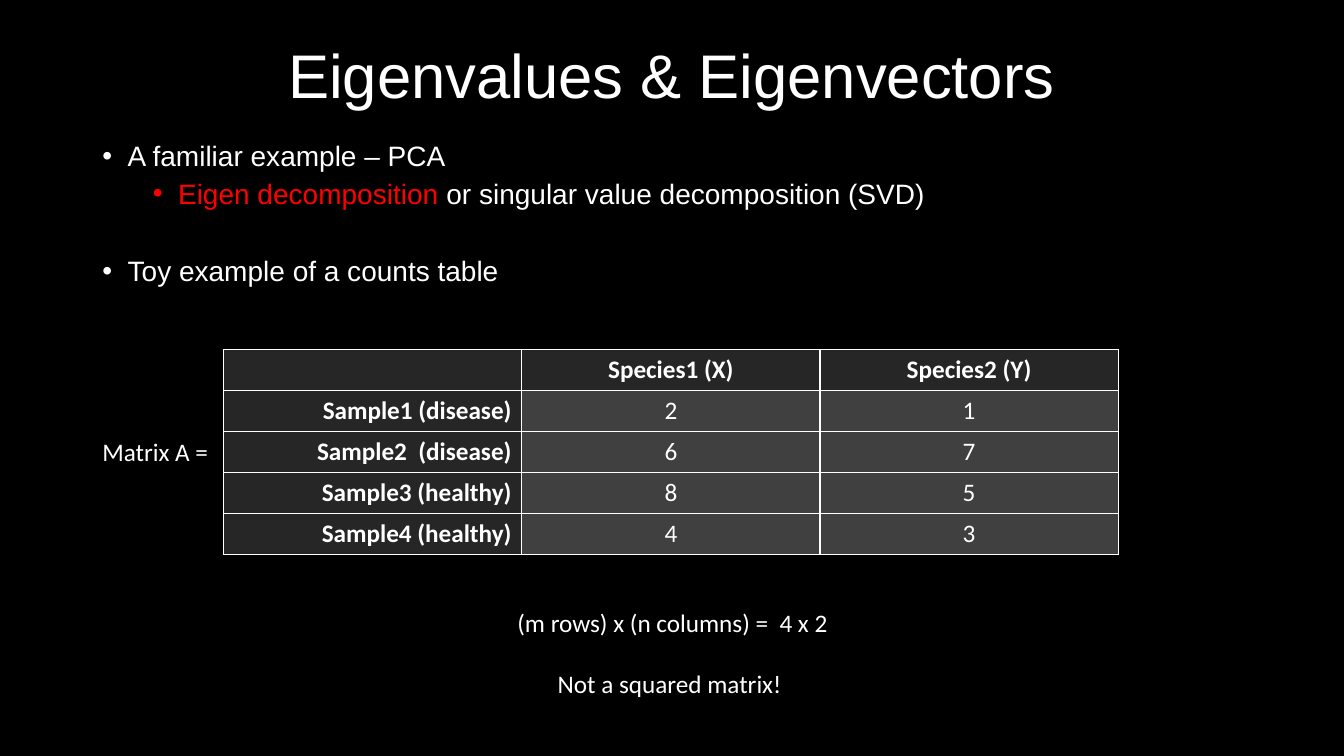
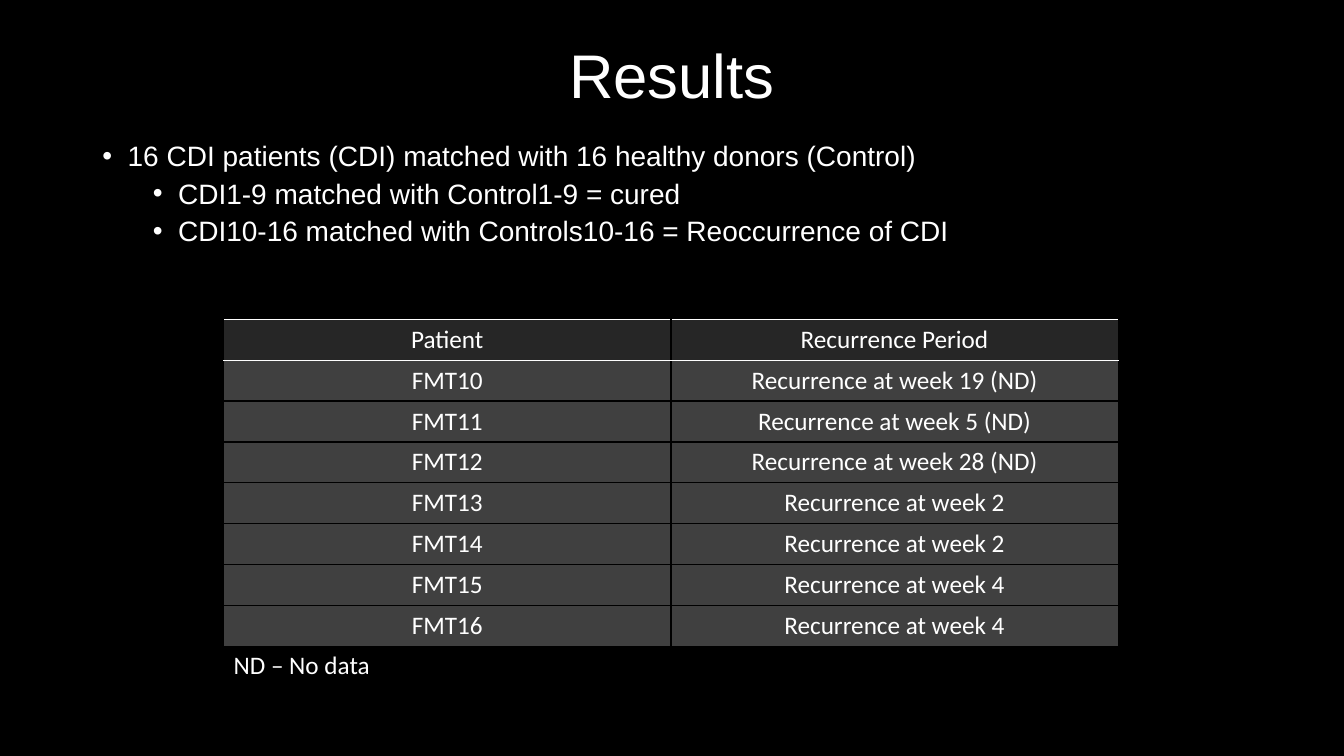
from dataclasses import dataclass
from typing import Any

from lxml.etree import SubElement
from pptx import Presentation
from pptx.dml.color import RGBColor
from pptx.enum.text import MSO_ANCHOR, MSO_AUTO_SIZE, PP_ALIGN
from pptx.oxml.ns import qn
from pptx.util import Emu, Pt

WHITE, BLACK, RED = "FFFFFF", "000000", "FF0000"
HEAD_FILL, CELL_FILL = "262626", "404040"
LEFT, CENTER, RIGHT = PP_ALIGN.LEFT, PP_ALIGN.CENTER, PP_ALIGN.RIGHT

EMU_PER_PX = 9525
SLIDE_SIZE = (1280, 720)
TITLE_BOX = (88, 38, 1104, 74)
BODY_BOX = (88, 131, 1104, 540)
TABLE_LEFT, TABLE_WIDTH, ROW_HEIGHT = 213, 852, 39
BULLET_HANG, LEVEL_STEP = 24, 48

TITLE_FONT = {"name": "Arial", "size": Pt(44)}
BODY_FONT = {"name": "Arial", "size": Pt(20)}
SMALL_FONT = {"name": "Calibri", "size": Pt(18)}

Box = tuple[int, int, int, int]


@dataclass(frozen=True)
class Span:
    text: str
    color: str = WHITE


@dataclass(frozen=True)
class Bullet:
    spans: tuple[Span, ...]
    level: int = 0
    space_before: int = 10


@dataclass(frozen=True)
class Grid:
    """Table content; a labelled grid has bold headings and white lines throughout."""

    top: int
    rows: tuple[tuple[str, ...], ...]
    labelled: bool = False


@dataclass(frozen=True)
class Note:
    box: Box
    lines: tuple[str, ...]
    align: Any = LEFT
    gap: int = 0


@dataclass(frozen=True)
class Page:
    title: str
    bullets: tuple[Bullet, ...]
    grid: Grid
    notes: tuple[Note, ...]


PAGES = (
    Page(
        "Eigenvalues & Eigenvectors",
        (
            Bullet((Span("A familiar example – PCA"),)),
            Bullet(
                (
                    Span("Eigen decomposition ", RED),
                    Span("or singular value decomposition (SVD)"),
                ),
                level=1,
                space_before=5,
            ),
            Bullet((Span("Toy example of a counts table"),), space_before=34),
        ),
        Grid(
            333,
            (
                ("", "Species1 (X)", "Species2 (Y)"),
                ("Sample1 (disease)", "2", "1"),
                ("Sample2  (disease)", "6", "7"),
                ("Sample3 (healthy)", "8", "5"),
                ("Sample4 (healthy)", "4", "3"),
            ),
            labelled=True,
        ),
        (
            Note((88, 411, 305, 38), ("Matrix A =",)),
            Note(
                (412, 574, 457, 96),
                ("(m rows) x (n columns) =  4 x 2", "Not a squared matrix! "),
                CENTER,
                gap=22,
            ),
        ),
    ),
    Page(
        "Results",
        (
            Bullet((Span("16 CDI patients (CDI) matched with 16 healthy donors (Control)"),)),
            Bullet((Span("CDI1-9 matched with Control1-9 = cured"),), 1, 5),
            Bullet((Span("CDI10-16 matched with Controls10-16 = Reoccurrence of CDI"),), 1, 5),
        ),
        Grid(
            304,
            (
                ("Patient", "Recurrence Period"),
                ("FMT10", "Recurrence at week 19 (ND)"),
                ("FMT11", "Recurrence at week 5 (ND)"),
                ("FMT12", "Recurrence at week 28 (ND)"),
                ("FMT13", "Recurrence at week 2"),
                ("FMT14", "Recurrence at week 2"),
                ("FMT15", "Recurrence at week 4"),
                ("FMT16", "Recurrence at week 4"),
            ),
        ),
        (Note((TABLE_LEFT, 614, 259, 38), ("ND – No data",)),),
    ),
)


def px(length: int) -> Emu:
    return Emu(length * EMU_PER_PX)


def rgb(color: str) -> RGBColor:
    return RGBColor.from_string(color)


def set_all(target: Any, formats: dict[str, Any]) -> None:
    for name, value in formats.items():
        setattr(target, name, value)


def place(shape: Any, box: Box) -> None:
    set_all(shape, dict(zip(("left", "top", "width", "height"), map(px, box))))


def add_span(para: Any, span: Span, font: dict[str, Any], bold: bool = False) -> None:
    run = para.add_run()
    run.text = span.text
    set_all(run.font, {**font, "bold": bold})
    run.font.color.rgb = rgb(span.color)


def paragraph(frame: Any, index: int) -> Any:
    """Return the frame's own first paragraph, or a new one after it."""
    return frame.add_paragraph() if index else frame.paragraphs[0]


def set_up_template(deck: Any) -> Any:
    """Size the deck, blacken its master and return the title-and-body layout."""
    set_all(deck, dict(zip(("slide_width", "slide_height"), map(px, SLIDE_SIZE))))
    backdrop = deck.slide_master.background.fill
    backdrop.solid()
    backdrop.fore_color.rgb = rgb(BLACK)
    layout = deck.slide_layouts[1]
    for index, box in enumerate((TITLE_BOX, BODY_BOX)):
        place(layout.placeholders[index], box)
    return layout


def fill_title(shape: Any, title: str) -> None:
    frame = shape.text_frame
    set_all(
        frame,
        {"vertical_anchor": MSO_ANCHOR.MIDDLE, "auto_size": MSO_AUTO_SIZE.NONE},
    )
    para = frame.paragraphs[0]
    set_all(para, {"alignment": CENTER, "line_spacing": 0.9})
    add_span(para, Span(title), TITLE_FONT)


def mark_bullet(para: Any, bullet: Bullet) -> None:
    props = para._p.get_or_add_pPr()
    props.set("marL", str(px(BULLET_HANG + LEVEL_STEP * bullet.level)))
    props.set("indent", str(px(-BULLET_HANG)))
    color = SubElement(props, qn("a:buClr"))
    SubElement(color, qn("a:srgbClr"), val=bullet.spans[0].color)
    SubElement(props, qn("a:buFont"), typeface="Arial")
    SubElement(props, qn("a:buChar"), char="•")


def fill_body(shape: Any, bullets: tuple[Bullet, ...]) -> None:
    frame = shape.text_frame
    set_all(frame, {"vertical_anchor": MSO_ANCHOR.TOP, "auto_size": MSO_AUTO_SIZE.NONE})
    for index, bullet in enumerate(bullets):
        para = paragraph(frame, index)
        formats = {
            "level": bullet.level,
            "alignment": LEFT,
            "line_spacing": 0.9,
            "space_before": Pt(bullet.space_before),
        }
        set_all(para, formats)
        mark_bullet(para, bullet)
        for span in bullet.spans:
            add_span(para, span, BODY_FONT)


def draw_borders(cell: Any, row: int, labelled: bool) -> None:
    """Draw white lines all round, or only above and below the heading row."""
    white_sides = "LRTB" if labelled else {0: "TB", 1: "T"}.get(row, "")
    props = cell._tc.get_or_add_tcPr()
    for side in "LRTB":
        line = SubElement(props, qn(f"a:ln{side}"), w=str(Pt(1)))
        fill = SubElement(line, qn("a:solidFill"))
        SubElement(fill, qn("a:srgbClr"), val=WHITE if side in white_sides else BLACK)


def draw_grid(slide: Any, grid: Grid) -> None:
    row_count, column_count = len(grid.rows), len(grid.rows[0])
    box = (TABLE_LEFT, grid.top, TABLE_WIDTH, ROW_HEIGHT * row_count)
    table = slide.shapes.add_table(row_count, column_count, *map(px, box)).table
    set_all(table, {"first_row": False, "horz_banding": False})
    for row, texts in enumerate(grid.rows):
        for column, text in enumerate(texts):
            is_label = grid.labelled and row > 0 and column == 0
            is_heading = row == 0 or is_label
            cell = table.cell(row, column)
            draw_borders(cell, row, grid.labelled)
            cell.fill.solid()
            cell.fill.fore_color.rgb = rgb(HEAD_FILL if is_heading else CELL_FILL)
            para = cell.text_frame.paragraphs[0]
            para.alignment = RIGHT if is_label else CENTER
            if text:
                add_span(para, Span(text), SMALL_FONT, grid.labelled and is_heading)


def draw_note(slide: Any, note: Note) -> None:
    frame = slide.shapes.add_textbox(*map(px, note.box)).text_frame
    frame.word_wrap = True
    for index, text in enumerate(note.lines):
        para = paragraph(frame, index)
        set_all(para, {"alignment": note.align, "space_before": Pt(note.gap if index else 0)})
        add_span(para, Span(text), SMALL_FONT)


def main() -> None:
    deck = Presentation()
    layout = set_up_template(deck)
    for page in PAGES:
        slide = deck.slides.add_slide(layout)
        fill_title(slide.shapes.title, page.title)
        fill_body(slide.placeholders[1], page.bullets)
        draw_grid(slide, page.grid)
        for note in page.notes:
            draw_note(slide, note)
    deck.save("out.pptx")


if __name__ == "__main__":
    main()
